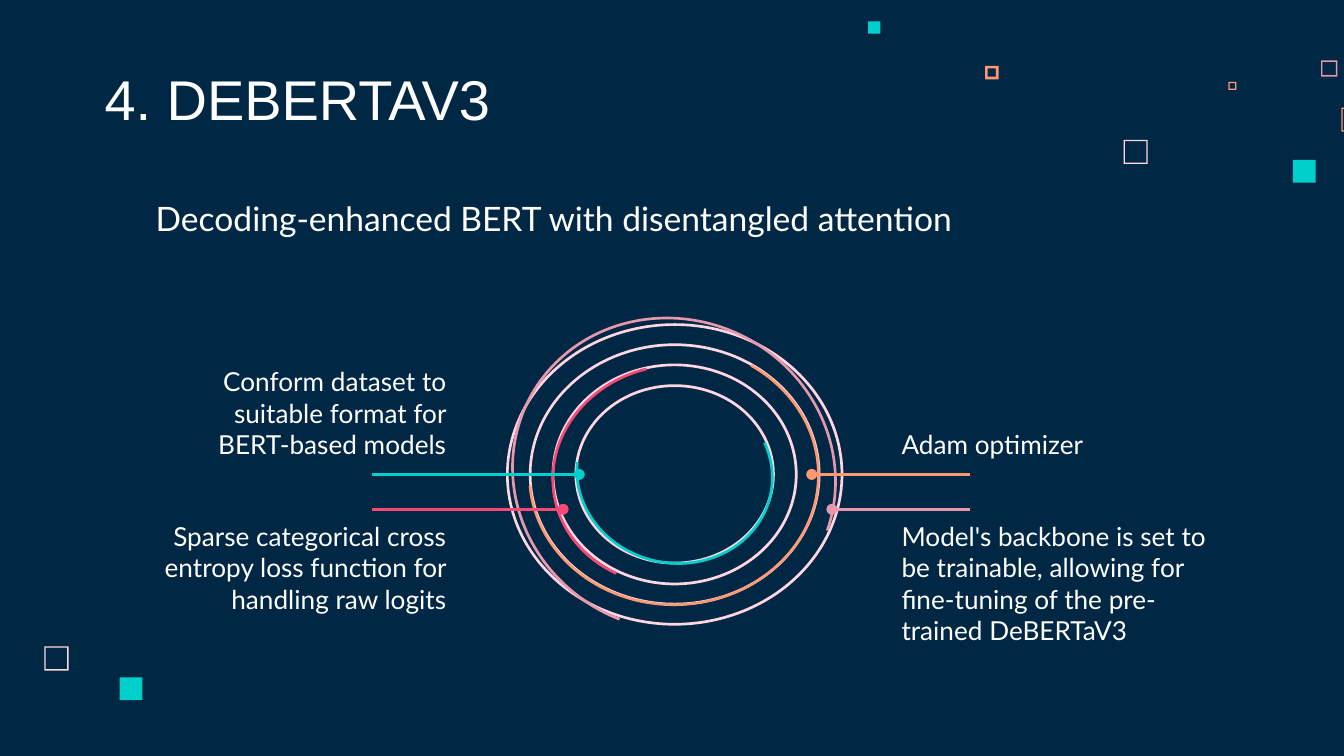
from lxml import etree
from pptx import Presentation
from pptx.dml.color import RGBColor
from pptx.enum import shapes, text
from pptx.oxml.ns import qn
from pptx.util import Inches, Pt

NAVY, WHITE = "002845", "FFFFFF"
PALE, ROSE, ORANGE = "FFD6E1", "E898AC", "FF9973"
PINK, TEAL = "F64975", "00CFCC"
SHAPE = shapes.MSO_SHAPE
LEFT, RIGHT = text.PP_ALIGN.LEFT, text.PP_ALIGN.RIGHT
TOP, BOTTOM = text.MSO_ANCHOR.TOP, text.MSO_ANCHOR.BOTTOM


def rgb(color):
    return RGBColor.from_string(color)


def add_filled(slide, kind, box, color):
    sp = slide.shapes.add_shape(kind, *map(Inches, box))
    sp.shadow.inherit = False
    sp.fill.solid()
    sp.fill.fore_color.rgb = rgb(color)
    sp.line.fill.background()
    return sp


def add_square(slide, x, y, size, color, border=None):
    kind = SHAPE.FRAME if border else SHAPE.RECTANGLE
    sp = add_filled(slide, kind, (x, y, size, size), color)
    if border:
        sp.adjustments[0] = border / size


def add_ring(slide, center, width, height):
    cx, cy = center
    box = (cx - width / 2, cy - height / 2, width, height)
    sp = add_filled(slide, SHAPE.DONUT, box, PALE)
    sp.adjustments[0] = 0.02 / height


def add_arc(slide, box, color, start, end, rotation):
    sp = add_filled(slide, SHAPE.BLOCK_ARC, box, color)
    # Angles are stored in 60000ths of a degree, adjustments in 100000ths
    sp.adjustments[0] = start * 0.6
    sp.adjustments[1] = end * 0.6
    sp.adjustments[2] = 0.02 / min(box[2:])
    sp.rotation = rotation


def add_pointer(slide, x1, x2, y, color):
    line = slide.shapes.add_connector(
        shapes.MSO_CONNECTOR.STRAIGHT, Inches(x1), Inches(y), Inches(x2), Inches(y))
    line.line.color.rgb = rgb(color)
    line.line.width = Pt(1.5)
    outline = line._element.spPr.find(qn("a:ln"))
    etree.SubElement(outline, qn("a:tailEnd"), type="oval")
    etree.SubElement(line._element.spPr, qn("a:effectLst"))


def add_text(slide, box, content, size=14, font="Lato", align=LEFT, anchor=TOP):
    tf = slide.shapes.add_textbox(*map(Inches, box)).text_frame
    tf.word_wrap = True
    tf.vertical_anchor = anchor
    tf.margin_left = tf.margin_right = Inches(0.1)
    tf.margin_top = tf.margin_bottom = Inches(0.1)
    tf.text = content
    p = tf.paragraphs[0]
    p.alignment = align
    r = p.runs[0]
    r.font.size = Pt(size)
    r.font.name = font
    r.font.color.rgb = rgb(WHITE)


def main():
    # Widescreen slide, 16:9
    prs = Presentation()
    prs.slide_width = Inches(10)
    prs.slide_height = Inches(10 * 9 / 16)
    slide = prs.slides.add_slide(prs.slide_layouts[6])
    slide.background.fill.solid()
    slide.background.fill.fore_color.rgb = rgb(NAVY)

    # Scattered squares, outlined when a border is given
    for square in [
        (8.36, 1.04, 0.18, PALE, 0.01),
        (9.83, 0.45, 0.12, ROSE, 0.01),
        (9.14, 0.61, 0.06, ORANGE, 0.01),
        (9.98, 0.8, 0.18, ORANGE, 0.01),
        (9.62, 1.19, 0.17, TEAL),
        (7.33, 0.49, 0.1, ORANGE, 0.02),
        (6.46, 0.16, 0.09, TEAL),
        (0.33, 4.81, 0.18, PALE, 0.01),
        (0.89, 5.04, 0.17, TEAL),
    ]:
        add_square(slide, *square)

    # Title
    add_text(slide, (0.68, 0.45, 5.17, 0.63), "4. DEBERTAV3", 30, "Arial", anchor=BOTTOM)

    # Notes around the rings
    upper, lower = 3, 3.77
    add_text(slide, (1.16, upper, 2.26, 0.52),
             "Conform dataset to suitable format for BERT-based models",
             align=RIGHT, anchor=BOTTOM)
    add_text(slide, (6.61, upper, 1.69, 0.52), "Adam optimizer", anchor=BOTTOM)
    add_text(slide, (0.78, lower, 2.64, 0.52),
             "Sparse categorical cross entropy loss function for handling raw logits",
             align=RIGHT)
    add_text(slide, (6.61, lower, 2.64, 0.52),
             "Model's backbone is set to be trainable, allowing for "
             "fine-tuning of the pre-trained DeBERTaV3")

    # Concentric rings
    for width, height in [(2.51, 2.25), (2.17, 1.95), (1.83, 1.65), (1.49, 1.34)]:
        add_ring(slide, (5.02, 3.53), width, height)

    # Coloured arcs on the rings
    add_arc(slide, (3.79, 2.37, 2.45, 2.32), ROSE, 263.2, 172.7, 207.4)
    add_arc(slide, (3.93, 2.56, 2.17, 1.95), ORANGE, 305.2, 175.6, 0)
    add_arc(slide, (4.19, 2.62, 1.65, 1.83), PINK, 40.2, 175.2, 80.2)
    add_arc(slide, (4.28, 2.86, 1.48, 1.34), TEAL, 328.7, 175.2, 11.9)

    # Pointers from the notes to the arcs
    add_pointer(slide, 2.77, 4.31, 3.53, TEAL)
    add_pointer(slide, 2.77, 4.19, 3.79, PINK)
    add_pointer(slide, 7.22, 6.04, 3.53, ORANGE)
    add_pointer(slide, 7.22, 6.19, 3.79, ROSE)

    # Subtitle
    add_text(slide, (1.06, 1.37, 7.84, 0.5),
             "Decoding-enhanced BERT with disentangled attention", 18)

    prs.save("out.pptx")


if __name__ == "__main__":
    main()
